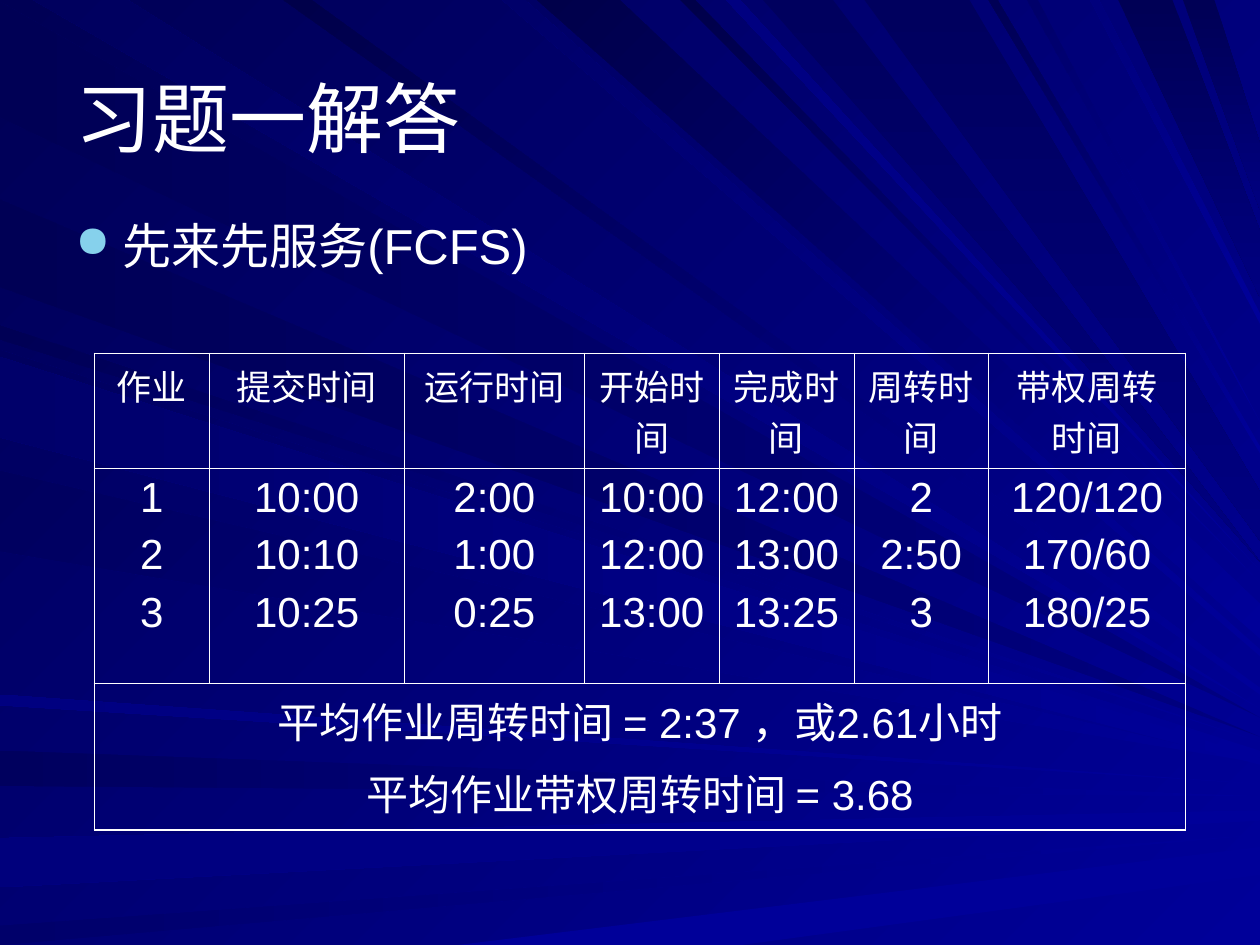
import pptx
import pptx.dml.color
import pptx.enum.text
import pptx.oxml
import pptx.oxml.ns
import pptx.util

Pt = pptx.util.Pt
RGBColor = pptx.dml.color.RGBColor
PP_ALIGN = pptx.enum.text.PP_ALIGN
MSO_ANCHOR = pptx.enum.text.MSO_ANCHOR

# Colours
WHITE = RGBColor.from_string("FFFFFF")
BULLET = RGBColor.from_string("86D1EC")
BLUE = RGBColor.from_string("000099")
NAVY = RGBColor.from_string("000080")
SOFT = RGBColor.from_string("00007C")
DIM = RGBColor.from_string("00006A")
DUSK = RGBColor.from_string("00005E")
DEEP = RGBColor.from_string("000055")
ABYSS = RGBColor.from_string("00004A")

FONT = "Arial"
WIDTH, HEIGHT = 720, 540
UP_LEFT, LEFT, DOWN = 135, 180, 270  # gradient directions, counter-clockwise

# Content
TITLE = "习题一解答"
METHOD = "先来先服务(FCFS)"
HEADINGS = ["作业", "提交时间", "运行时间", "开始时间", "完成时间", "周转时间", "带权周转时间"]
JOBS = [
    ("1", "10:00", "2:00", "10:00", "12:00", "2", "120/120"),
    ("2", "10:10", "1:00", "12:00", "13:00", "2:50", "170/60"),
    ("3", "10:25", "0:25", "13:00", "13:25", "3", "180/25"),
]
AVERAGES = ["平均作业周转时间 = 2:37 ，或2.61小时", "平均作业带权周转时间 = 3.68"]
COLUMN_WIDTHS = [65.5, 111.5, 103, 77, 77, 77, 112.5]
ROW_HEIGHTS = [65.5, 123.2, 83.5]

# Rays run from a stretch of one slide edge to a height on the right edge:
# stretch start, stretch end, height, half the width there, colours, direction
RAYS = {
    "left": [
        (1, 67, 410, 0, NAVY, DEEP, LEFT),
        (429, 449, 455, 0, BLUE, DUSK, LEFT),
        (479, 507, 466, 3, BLUE, SOFT, LEFT),
        (529, 540, 477, 0, BLUE, DIM, LEFT),
        (186, 194, 424, 0, BLUE, DEEP, UP_LEFT),
        (114, 164, 421, 0, NAVY, DEEP, LEFT),
        (200, 246, 431, 2, BLUE, DUSK, UP_LEFT),
        (269, 315, 436, 0, BLUE, DUSK, UP_LEFT),
        (397, 403, 448, 0, BLUE, NAVY, LEFT),
        (204, 250, 435, 2, BLUE, DIM, LEFT),
    ],
    "bottom": [(262, 424, 492, 8, BLUE, BLUE, LEFT)],
    "top": [
        (19, 73, 405, 0, BLUE, DUSK, UP_LEFT),
        (287, 300, 373, 2, BLUE, DIM, UP_LEFT),
        (307, 354, 355, 10, BLUE, ABYSS, UP_LEFT),
        (389, 397, 333, 0, BLUE, ABYSS, UP_LEFT),
        (436, 476, 321, 0, DUSK, NAVY, DOWN),
        (639, 670, 151, 19, DEEP, NAVY, DOWN),
        (676, 694, 101, 19, DEEP, NAVY, DOWN),
        (162, 178, 395, 2, BLUE, ABYSS, UP_LEFT),
        (415, 423, 326, 0, BLUE, NAVY, UP_LEFT),
        (494, 554, 295, 14, DUSK, NAVY, DOWN),
        (565, 570, 257, 2, BLUE, DEEP, UP_LEFT),
        (587, 593, 241, 0, BLUE, DIM, UP_LEFT),
        (623, 628, 182, 3, BLUE, SOFT, UP_LEFT),
    ],
}


def paint(fill, first, last, direction):
    if first == last:
        fill.solid()
        fill.fore_color.rgb = first
        return
    fill.gradient()
    fill.gradient_angle = direction
    for stop, colour in zip(fill.gradient_stops, (first, last)):
        stop.color.rgb = colour


def add_ray(slide, edge, start, end, height, spread, first, last, direction):
    if edge == "left":
        corners = [(0, start), (0, end)]
    else:
        y = 0 if edge == "top" else HEIGHT
        corners = [(start, y), (end, y)]
    if edge == "top":
        spread = -spread
    corners += [(WIDTH, height + spread), (WIDTH, height - spread)]
    origin, *rest = [(Pt(x), Pt(y)) for x, y in corners]
    builder = slide.shapes.build_freeform(*origin)
    builder.add_line_segments(rest, close=True)
    ray = builder.convert_to_shape()
    ray.shadow.inherit = False
    ray.line.fill.background()
    paint(ray.fill, first, last, direction)


def style(font, size):
    font.name, font.size, font.bold = FONT, Pt(size), False
    font.color.rgb = WHITE


def add_xml(parent, xml):
    namespace = pptx.oxml.ns.nsdecls("a")
    parent.append(pptx.oxml.parse_xml(xml.replace(" ", f" {namespace} ", 1)))


def add_text(slide, text, top, height, size, anchor):
    frame = slide.shapes.add_textbox(Pt(36), Pt(top), Pt(648), Pt(height)).text_frame
    frame.word_wrap = True
    frame.vertical_anchor = anchor
    frame.text = text
    style(frame.paragraphs[0].runs[0].font, size)
    return frame.paragraphs[0]


def fill_cell(cell, lines, size):
    cell.text_frame.text = "\n".join(lines)
    for number, paragraph in enumerate(cell.text_frame.paragraphs):
        paragraph.alignment = PP_ALIGN.CENTER
        if number:
            paragraph.space_before = Pt(6)
        style(paragraph.runs[0].font, size)


def outline_cell(cell, outer_sides):
    properties = cell._tc.get_or_add_tcPr()
    for side in "LRTB":
        width = Pt(1.08 if side in outer_sides else 0.45)
        add_xml(properties, f'<a:ln{side} w="{width}"><a:solidFill>'
                            f'<a:srgbClr val="{WHITE}"/></a:solidFill></a:ln{side}>')
    cell.fill.background()


def main():
    deck = pptx.Presentation()
    deck.slide_width, deck.slide_height = Pt(WIDTH), Pt(HEIGHT)
    slide = deck.slides.add_slide(deck.slide_layouts[6])

    # Background with rays
    paint(slide.background.fill, BLUE, DEEP, UP_LEFT)
    for edge, rays in RAYS.items():
        for ray in rays:
            add_ray(slide, edge, *ray)

    # Title and bulleted method
    add_text(slide, TITLE, 21.6, 90, 44, MSO_ANCHOR.MIDDLE)
    method = add_text(slide, METHOD, 126, 36, 28, MSO_ANCHOR.TOP)
    method.line_spacing = 0.8
    indents = method._p.get_or_add_pPr()
    indents.set("marL", str(Pt(27)))
    indents.set("indent", str(-Pt(27)))
    add_xml(indents, f'<a:buClr ><a:srgbClr val="{BULLET}"/></a:buClr>')
    add_xml(indents, '<a:buSzPct val="90000"/>')
    add_xml(indents, '<a:buChar char="●"/>')

    # Schedule table
    schedule = slide.shapes.add_table(
        len(ROW_HEIGHTS), len(HEADINGS), Pt(54), Pt(202),
        Pt(sum(COLUMN_WIDTHS)), Pt(sum(ROW_HEIGHTS))).table
    schedule.first_row = schedule.horz_banding = False
    for column, width in zip(schedule.columns, COLUMN_WIDTHS):
        column.width = Pt(width)
    for row, height in zip(schedule.rows, ROW_HEIGHTS):
        row.height = Pt(height)

    last_row, last_column = len(ROW_HEIGHTS) - 1, len(HEADINGS) - 1
    averages = schedule.cell(last_row, 0)
    averages.merge(schedule.cell(last_row, last_column))
    for c, (heading, times) in enumerate(zip(HEADINGS, zip(*JOBS))):
        fill_cell(schedule.cell(0, c), [heading], 20)
        fill_cell(schedule.cell(1, c), times, 24)
    fill_cell(averages, AVERAGES, 24)

    for r in range(last_row + 1):
        for c in range(last_column + 1):
            cell = schedule.cell(r, c)
            edges = {"L": c == 0, "R": c == last_column or cell.is_merge_origin,
                     "T": r == 0, "B": r == last_row}
            if not cell.is_spanned:
                outline_cell(cell, [side for side, outer in edges.items() if outer])

    deck.save("out.pptx")


if __name__ == "__main__":
    main()
